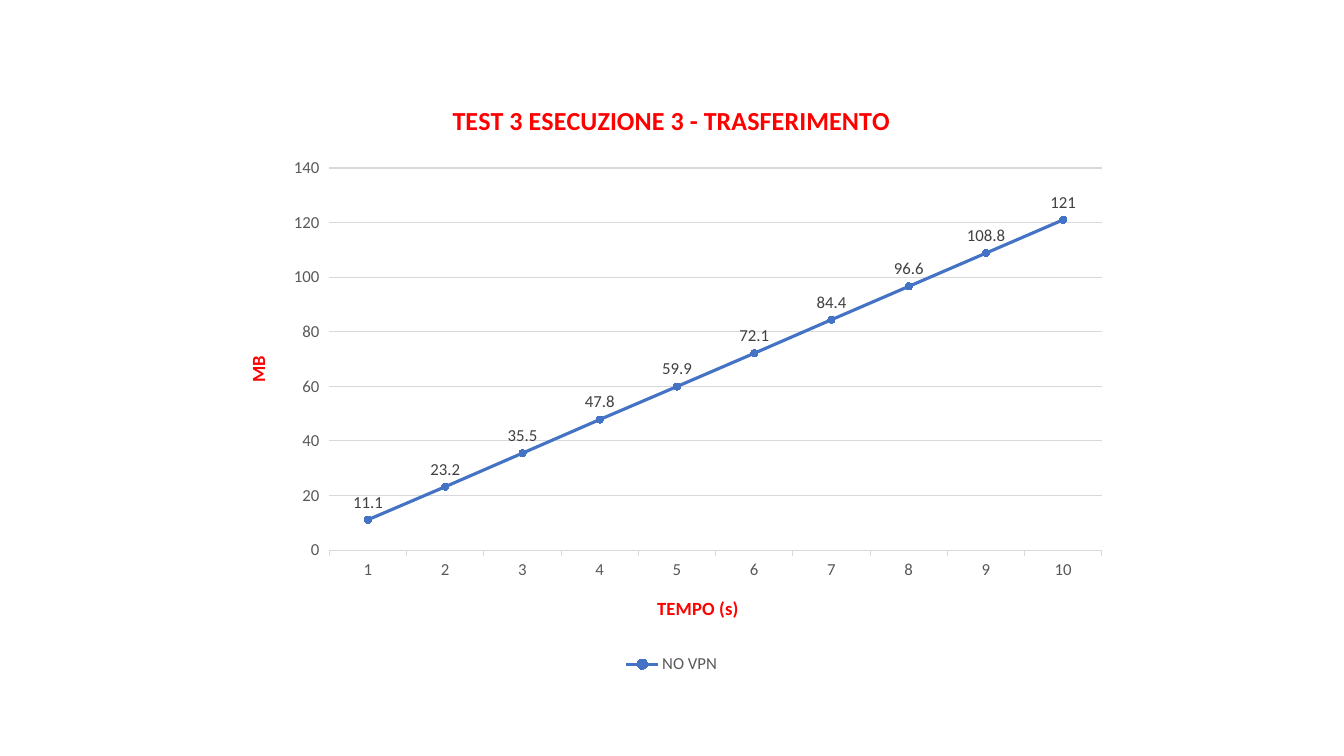
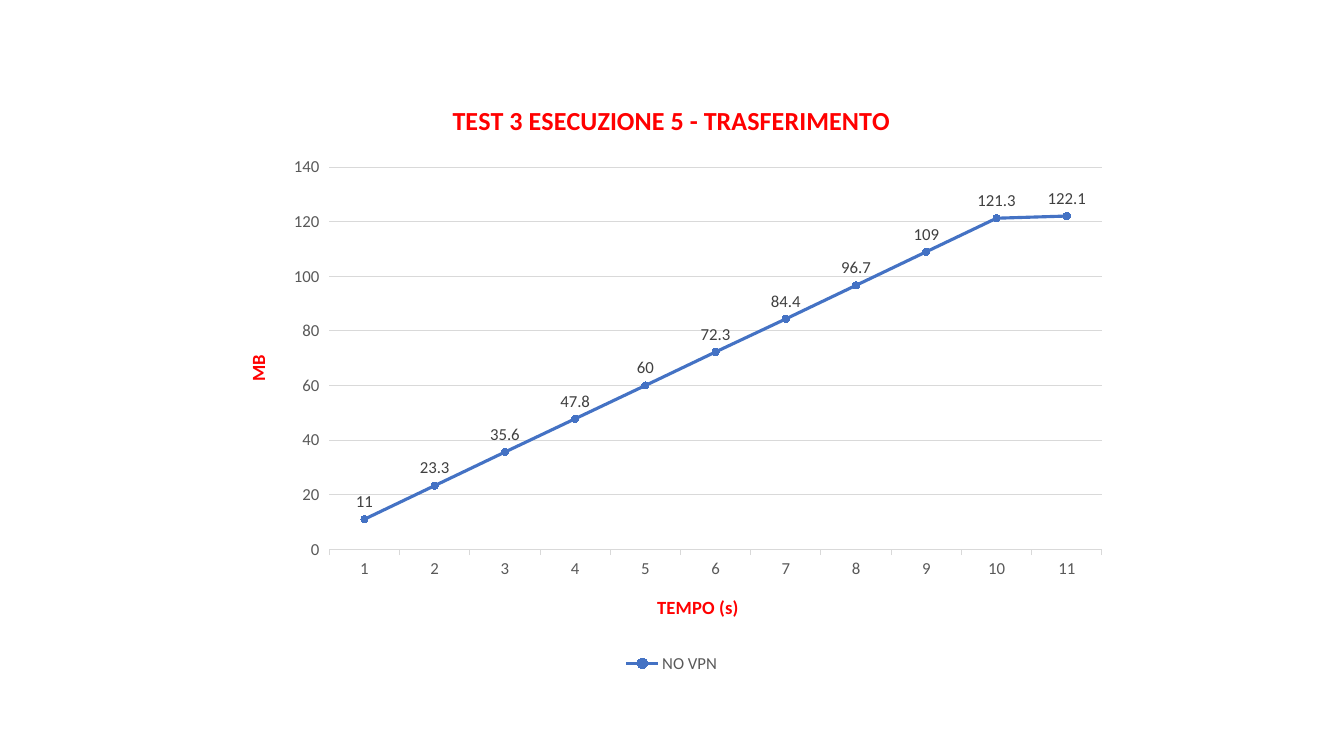
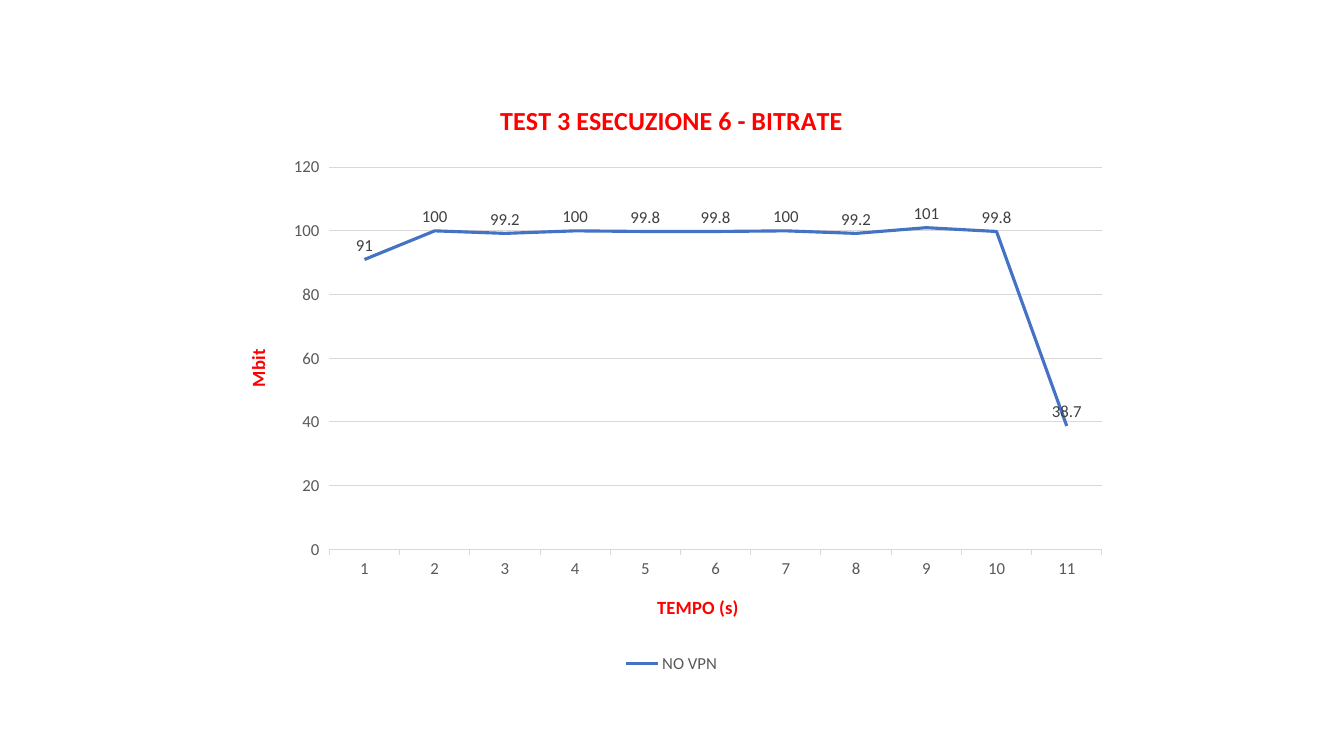
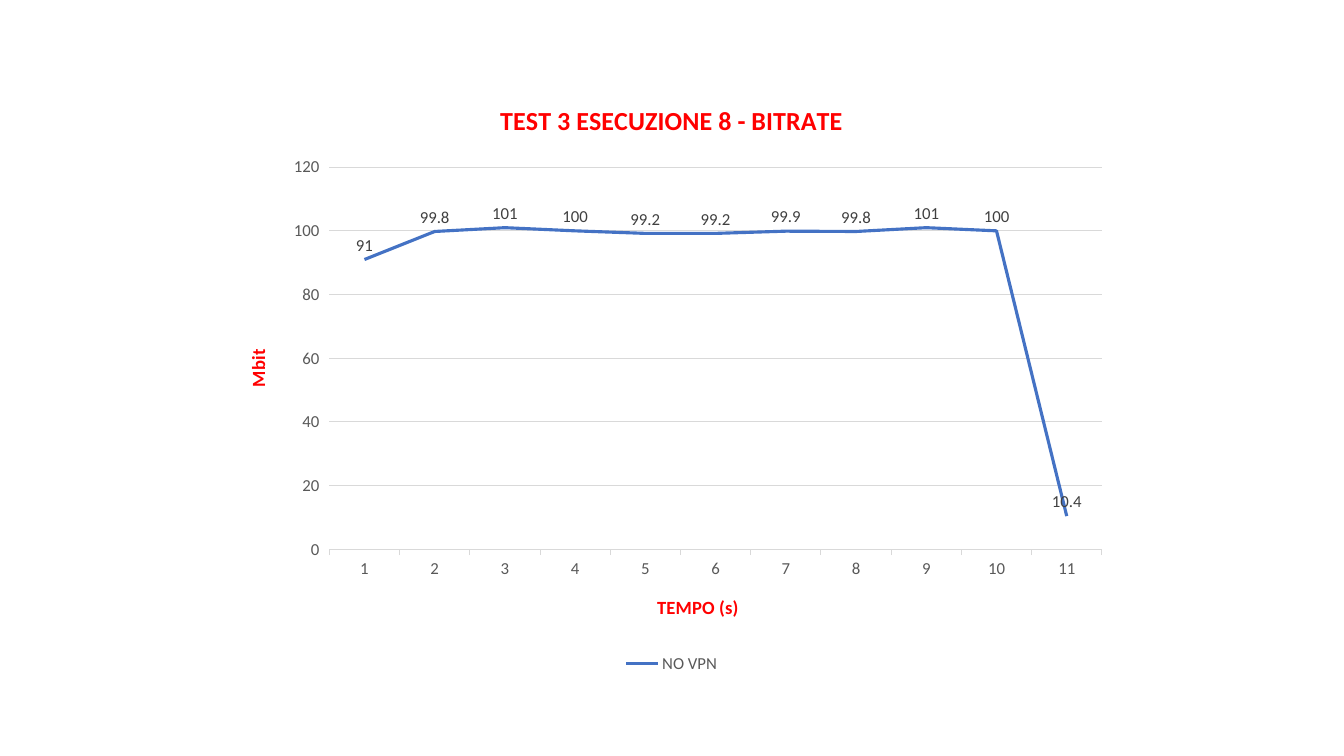
"""Build four line-chart slides with the results of network test 3."""
import pptx
import pptx.chart.data
import pptx.dml.color
import pptx.enum.chart
import pptx.oxml.ns
import pptx.util

RED, BLUE, GRID, GREY, DARK = "FF0000", "4472C4", "D9D9D9", "595959", "404040"
FONT = "Calibri"
TIME_TITLE = "TEMPO (s)"
SERIES_NAME = "NO VPN"
LEFT, WIDTH, HEIGHT = 5.64, 22.58, 15.06

TESTS = [
    {"title": "TEST 3 ESECUZIONE 3 - TRASFERIMENTO", "unit": "MB", "markers": True, "top": 2.03,
     "values": [11.1, 23.2, 35.5, 47.8, 59.9, 72.1, 84.4, 96.6, 108.8, 121]},
    {"title": "TEST 3 ESECUZIONE 5 - TRASFERIMENTO", "unit": "MB", "markers": True, "top": 2.01,
     "values": [11, 23.3, 35.6, 47.8, 60, 72.3, 84.4, 96.7, 109, 121.3, 122.1]},
    {"title": "TEST 3 ESECUZIONE 6 - BITRATE", "unit": "Mbit", "markers": False, "top": 2.01,
     "values": [91, 100, 99.2, 100, 99.8, 99.8, 100, 99.2, 101, 99.8, 38.7]},
    {"title": "TEST 3 ESECUZIONE 8 - BITRATE", "unit": "Mbit", "markers": False, "top": 2.01,
     "values": [91, 99.8, 101, 100, 99.2, 99.2, 99.9, 99.8, 101, 100, 10.4]},
]


def rgb(value):
    return pptx.dml.color.RGBColor.from_string(value)


def style_font(font, size, color, bold=False):
    font.name = FONT
    font.size = pptx.util.Pt(size)
    font.bold = bold
    font.color.rgb = rgb(color)


def style_line(line, color, width):
    line.color.rgb = rgb(color)
    line.width = pptx.util.Pt(width)


def write_title(title, text, size):
    run = title.text_frame.paragraphs[0].add_run()
    run.text = text
    style_font(run.font, size, RED, bold=True)


def style_axes(chart, unit):
    time_axis, value_axis = chart.category_axis, chart.value_axis
    for axis, text in ((time_axis, TIME_TITLE), (value_axis, unit)):
        write_title(axis.axis_title, text, 13.3)
        style_font(axis.tick_labels.font, 12, GREY)
    body = value_axis.axis_title.element.find(".//" + pptx.oxml.ns.qn("a:bodyPr"))
    body.set("rot", "-5400000")
    body.set("vert", "horz")
    style_line(time_axis.format.line, GRID, 0.75)
    value_axis.format.line.fill.background()
    value_axis.minimum_scale = 0
    value_axis.has_major_gridlines = True
    style_line(value_axis.major_gridlines.format.line, GRID, 0.75)


def style_series(chart, markers):
    plot = chart.plots[0]
    plot.vary_by_categories = False
    series = plot.series[0]
    series.smooth = False
    style_line(series.format.line, BLUE, 2.25)
    marker = series.marker
    if markers:
        marker.style = pptx.enum.chart.XL_MARKER_STYLE.CIRCLE
        marker.size = 5
        marker.format.fill.solid()
        marker.format.fill.fore_color.rgb = rgb(BLUE)
        style_line(marker.format.line, BLUE, 0.75)
    else:
        marker.style = pptx.enum.chart.XL_MARKER_STYLE.NONE
    labels = series.data_labels
    labels.show_value = True
    labels.position = pptx.enum.chart.XL_LABEL_POSITION.ABOVE
    style_font(labels.font, 12, DARK)


def add_test_slide(deck, test):
    slide = deck.slides.add_slide(deck.slide_layouts[6])
    data = pptx.chart.data.CategoryChartData()
    data.categories = [str(second) for second in range(1, len(test["values"]) + 1)]
    data.add_series(SERIES_NAME, test["values"])
    kinds = pptx.enum.chart.XL_CHART_TYPE
    frame = [pptx.util.Cm(n) for n in (LEFT, test["top"], WIDTH, HEIGHT)]
    kind = kinds.LINE_MARKERS if test["markers"] else kinds.LINE
    chart = slide.shapes.add_chart(kind, *frame, data).chart
    style_font(chart.font, 10, "000000")
    chart.has_title = True
    write_title(chart.chart_title, test["title"], 18.6)
    chart.chart_title.include_in_layout = False
    chart.has_legend = True
    chart.legend.position = pptx.enum.chart.XL_LEGEND_POSITION.BOTTOM
    chart.legend.include_in_layout = False
    style_font(chart.legend.font, 12, GREY)
    style_axes(chart, test["unit"])
    style_series(chart, test["markers"])


def main():
    deck = pptx.Presentation()
    deck.slide_width = pptx.util.Cm(33.87)
    deck.slide_height = pptx.util.Cm(19.05)
    for test in TESTS:
        add_test_slide(deck, test)
    deck.save("out.pptx")


if __name__ == "__main__":
    main()
